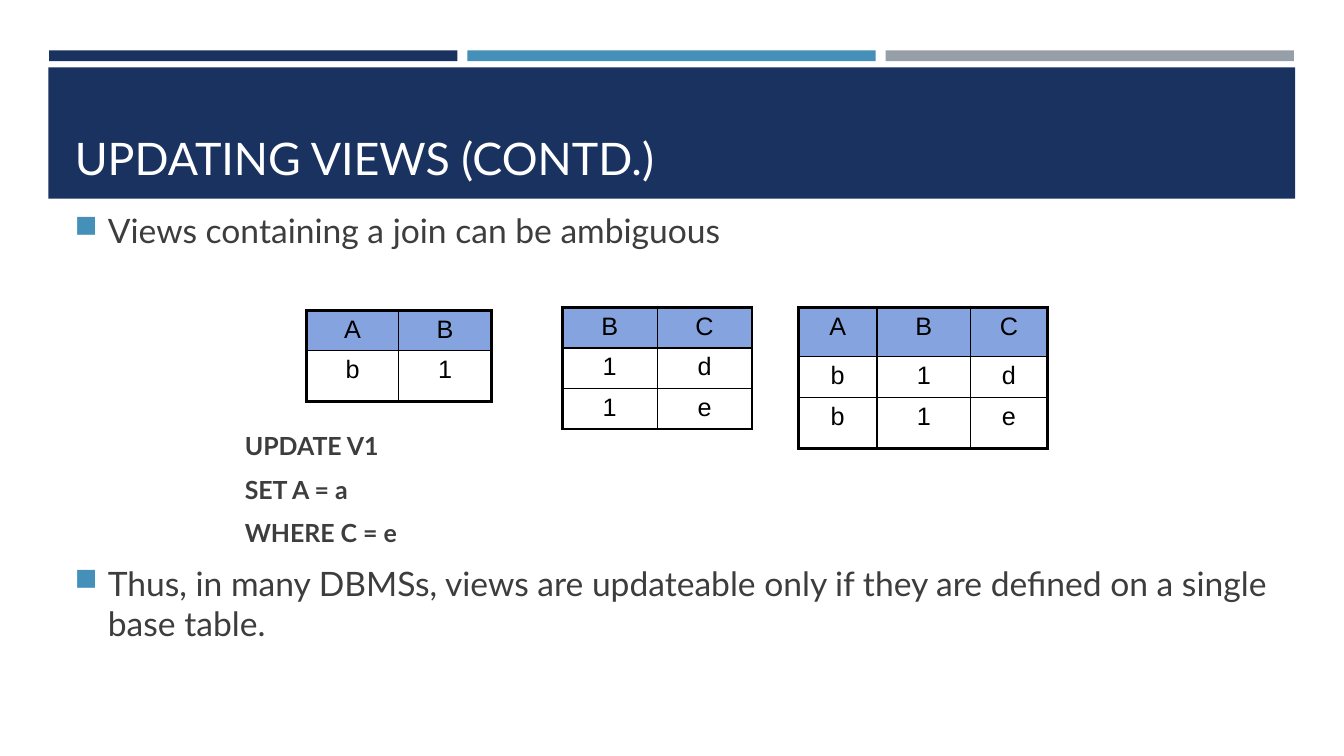
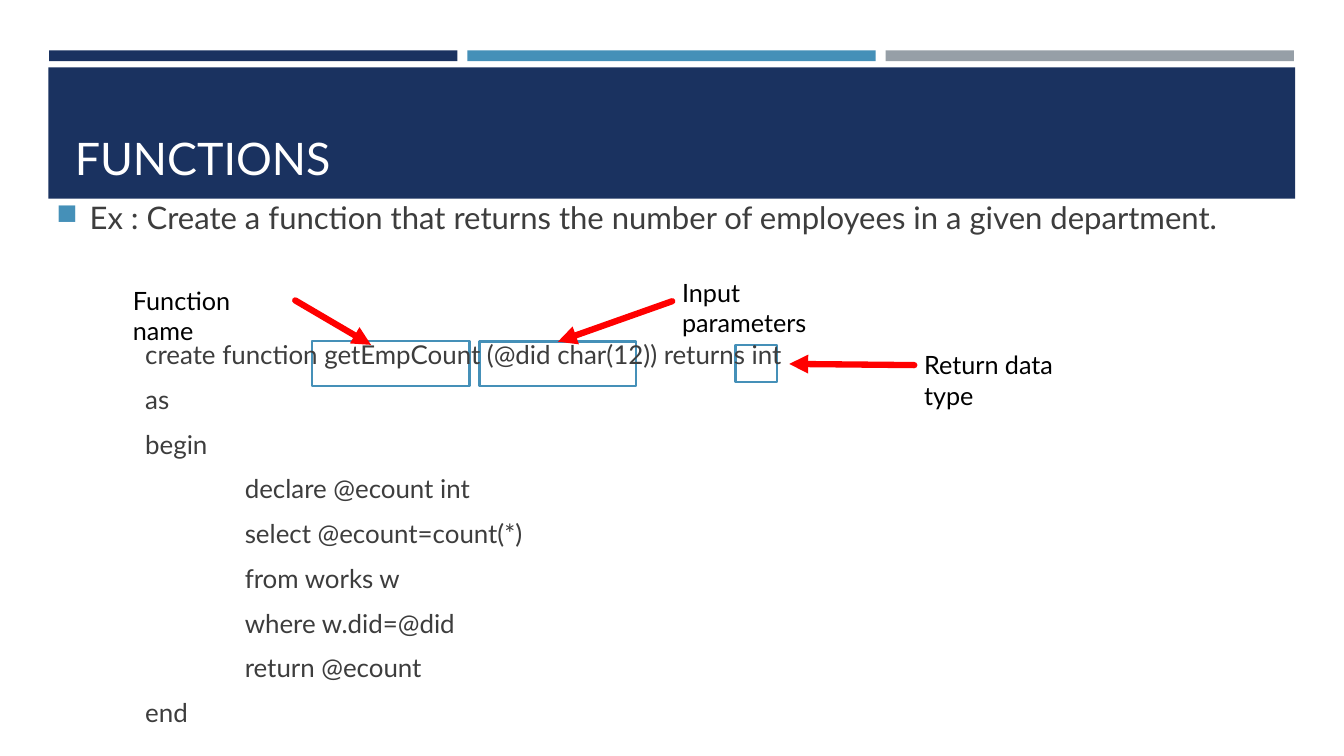
from pptx import Presentation
from pptx.dml.color import RGBColor
from pptx.enum.shapes import MSO_CONNECTOR, MSO_SHAPE
from pptx.enum.text import MSO_ANCHOR, MSO_AUTO_SIZE, PP_ALIGN
from pptx.oxml.ns import qn
from pptx.util import Cm, Pt
from lxml.etree import SubElement

NAVY, BLUE, GREY, WHITE = "1A3260", "4590B8", "969FA7", "FFFFFF"
INK, BLACK, RED, HEADER = "3D3D3D", "000000", "FF0000", "85A3DE"

# Shared bands: left, top, width, height (cm), colour
STRIPE_WIDTH, STRIPE_PITCH = 10.29, 10.54
BANDS = [(1.24 + i * STRIPE_PITCH, 1.27, STRIPE_WIDTH, 0.27, colour)
         for i, colour in enumerate((NAVY, BLUE, GREY))]
BANDS.append((1.22, 1.7, 31.42, 3.31, NAVY))
TITLE_BOX = (1.63, 1.96, 30.63, 2.82)

# Paragraph styles
POINT = dict(size=24, bullet=True, indent=0.84, before=4.8, after=6)
SQL = dict(size=17.8, bold=True, indent=4.29, before=3.56, after=6)
CODE = dict(size=18.5, indent=2.24, before=3.7, after=6)
NESTED = CODE | dict(indent=4.75)

# Slide 1: views
VIEWS_TITLE = "UPDATING VIEWS (CONTD.)"
VIEWS_BOX = (1.63, 5.16, 30.63, 11.5)
VIEWS_TEXT = [
    ("Views containing a join can be ambiguous", POINT | dict(before=0)),
    ("UPDATE V1", SQL | dict(before=123.3)),
    ("SET A = a", SQL),
    ("WHERE C = e", SQL),
    ("Thus, in many DBMSs, views are updateable only if they are defined "
     "on a single base table.", POINT),
]
RELATIONS = [
    dict(at=(7.72, 7.82), cols=(2.33, 2.33), rows=(1.02, 1.27),
         cells=("AB", "b1")),
    dict(at=(14.17, 7.75), cols=(2.39, 2.39), rows=(1.02, 1.02, 1.02),
         cells=("BC", "1d", "1e")),
    dict(at=(20.12, 7.75), cols=(1.98, 2.36, 1.93), rows=(1.24, 1.02, 1.3),
         cells=("ABC", "b1d", "b1e")),
]

# Slide 2: functions
FUNCTIONS_TITLE = "FUNCTIONS"
FUNCTIONS_BOX = (1.17, 4.88, 32.7, 14.1)
FUNCTIONS_TEXT = [
    ("Ex : Create a function that returns the number of employees in a "
     "given department.", POINT | dict(size=22.2, before=0)),
    ("create function getEmpCount (@did char(12)) returns int",
     CODE | dict(before=67.5)),
    ("as", CODE),
    ("begin", CODE),
    ("declare @ecount int", NESTED),
    ("select @ecount=count(*)", NESTED),
    ("from works w", NESTED),
    ("where w.did=@did", NESTED),
    ("return @ecount", NESTED),
    ("end", CODE),
]
# Label, its box, the frame around the code part, arrow ends,
# and the sides joined at the label and at the frame
CALLOUTS = [
    dict(text="Function name", label=(3.1, 7.06, 4.34, 1.02),
         frame=(7.87, 8.59, 3.96, 1.14),
         start=(7.44, 7.59), end=(9.35, 8.69), label_side=3),
    dict(text="Input parameters", label=(16.94, 6.86, 4.98, 1.02),
         frame=(12.09, 8.61, 3.94, 1.12),
         start=(16.94, 7.59), end=(14.07, 8.69), frame_side=0),
    dict(text="Return data type", label=(23.04, 8.69, 4.88, 1.02),
         frame=(18.54, 8.69, 1.04, 0.94),
         start=(23.04, 9.17), end=(19.89, 9.17), label_side=1),
]


def rgb(colour):
    return RGBColor.from_string(colour)


def cm(values):
    return [Cm(value) for value in values]


def write(paragraph, text, size=18, colour=INK, font="Lato", bold=False,
          align=PP_ALIGN.LEFT, before=0, after=0, indent=0, bullet=False):
    paragraph.alignment = align
    paragraph.space_before, paragraph.space_after = Pt(before), Pt(after)
    run = paragraph.add_run()
    run.text = text
    run.font.size, run.font.name, run.font.bold = Pt(size), font, bold
    run.font.color.rgb = rgb(colour)
    props = paragraph._p.get_or_add_pPr()
    props.set("marL", str(Cm(indent)))
    props.set("indent", str(-Cm(indent) if bullet else 0))
    if bullet:
        SubElement(SubElement(props, qn("a:buClr")), qn("a:srgbClr"), val=BLUE)
        SubElement(props, qn("a:buSzPct"), val="92000")
        SubElement(props, qn("a:buChar"), char="■")


def add_text(slide, box, paragraphs):
    shape = slide.shapes.add_textbox(*cm(box))
    frame = shape.text_frame
    frame.word_wrap = True
    for i, (text, style) in enumerate(paragraphs):
        write(frame.add_paragraph() if i else frame.paragraphs[0], text, **style)
    return shape


def add_rect(slide, box, fill, line=None):
    shape = slide.shapes.add_shape(MSO_SHAPE.RECTANGLE, *cm(box))
    shape.shadow.inherit = False
    shape.fill.solid()
    shape.fill.fore_color.rgb = rgb(fill)
    if line:
        shape.line.color.rgb = rgb(line)
        shape.line.width = Pt(1.75)
    else:
        shape.line.fill.background()
    return shape


def add_arrow(slide, start, end):
    arrow = slide.shapes.add_connector(MSO_CONNECTOR.STRAIGHT, *cm(start + end))
    arrow.line.color.rgb = rgb(RED)
    arrow.line.width = Pt(4.5)
    line = arrow.line._get_or_add_ln()
    line.set("cap", "rnd")
    SubElement(line, qn("a:tailEnd"), type="triangle")
    SubElement(arrow.element.spPr, qn("a:effectLst"))
    return arrow


def add_border(cell, side, width):
    line = SubElement(cell._tc.get_or_add_tcPr(), qn(f"a:ln{side}"),
                      w=str(Pt(width)))
    SubElement(SubElement(line, qn("a:solidFill")), qn("a:srgbClr"), val=BLACK)


def add_relation(slide, at, cols, rows, cells):
    table = slide.shapes.add_table(len(rows), len(cols), *cm(at),
                                   Cm(sum(cols)), Cm(sum(rows))).table
    table.first_row = table.horz_banding = False
    for column, width in zip(table.columns, cols):
        column.width = Cm(width)
    for row, height in zip(table.rows, rows):
        row.height = Cm(height)
    for r, values in enumerate(cells):
        for c, value in enumerate(values):
            cell = table.cell(r, c)
            write(cell.text_frame.paragraphs[0], value, colour=BLACK,
                  font="Arial", align=PP_ALIGN.CENTER)
            # Heavy outer edge, thin inner lines
            outer = {"L": c == 0, "R": c == len(cols) - 1,
                     "T": r == 0, "B": r == len(rows) - 1}
            for side, heavy in outer.items():
                add_border(cell, side, 2.25 if heavy else 1)
            if r == 0:
                cell.fill.solid()
                cell.fill.fore_color.rgb = rgb(HEADER)
            else:
                cell.fill.background()


def add_bands(slide, layout):
    """Draw the bands and move them behind everything in the layout."""
    for placeholder in list(layout.placeholders)[1:]:
        placeholder.element.getparent().remove(placeholder.element)
    for position, (*box, colour) in enumerate(BANDS, start=2):
        layout.shapes.element.insert(position, add_rect(slide, box, colour).element)


def set_title(slide, text):
    title = slide.shapes.title
    title.left, title.top, title.width, title.height = cm(TITLE_BOX)
    frame = title.text_frame
    frame.vertical_anchor = MSO_ANCHOR.BOTTOM
    frame.auto_size = MSO_AUTO_SIZE.NONE
    write(frame.paragraphs[0], text, size=32, colour=WHITE)


def main():
    prs = Presentation()
    prs.slide_width, prs.slide_height = Cm(33.87), Cm(19.05)
    layout = prs.slide_layouts[5]

    # Views
    views = prs.slides.add_slide(layout)
    add_bands(views, layout)
    set_title(views, VIEWS_TITLE)
    add_text(views, VIEWS_BOX, VIEWS_TEXT)
    for relation in RELATIONS:
        add_relation(views, **relation)

    # Functions: frames lie behind the code
    functions = prs.slides.add_slide(layout)
    set_title(functions, FUNCTIONS_TITLE)
    frames = [add_rect(functions, callout["frame"], WHITE, BLUE)
              for callout in CALLOUTS]
    add_text(functions, FUNCTIONS_BOX, FUNCTIONS_TEXT)
    for callout, frame in zip(CALLOUTS, frames):
        label = add_text(functions, callout["label"],
                         [(callout["text"], dict(colour=BLACK))])
        arrow = add_arrow(functions, callout["start"], callout["end"])
        if "label_side" in callout:
            arrow.begin_connect(label, callout["label_side"])
        if "frame_side" in callout:
            arrow.end_connect(frame, callout["frame_side"])

    prs.save("out.pptx")


if __name__ == "__main__":
    main()
